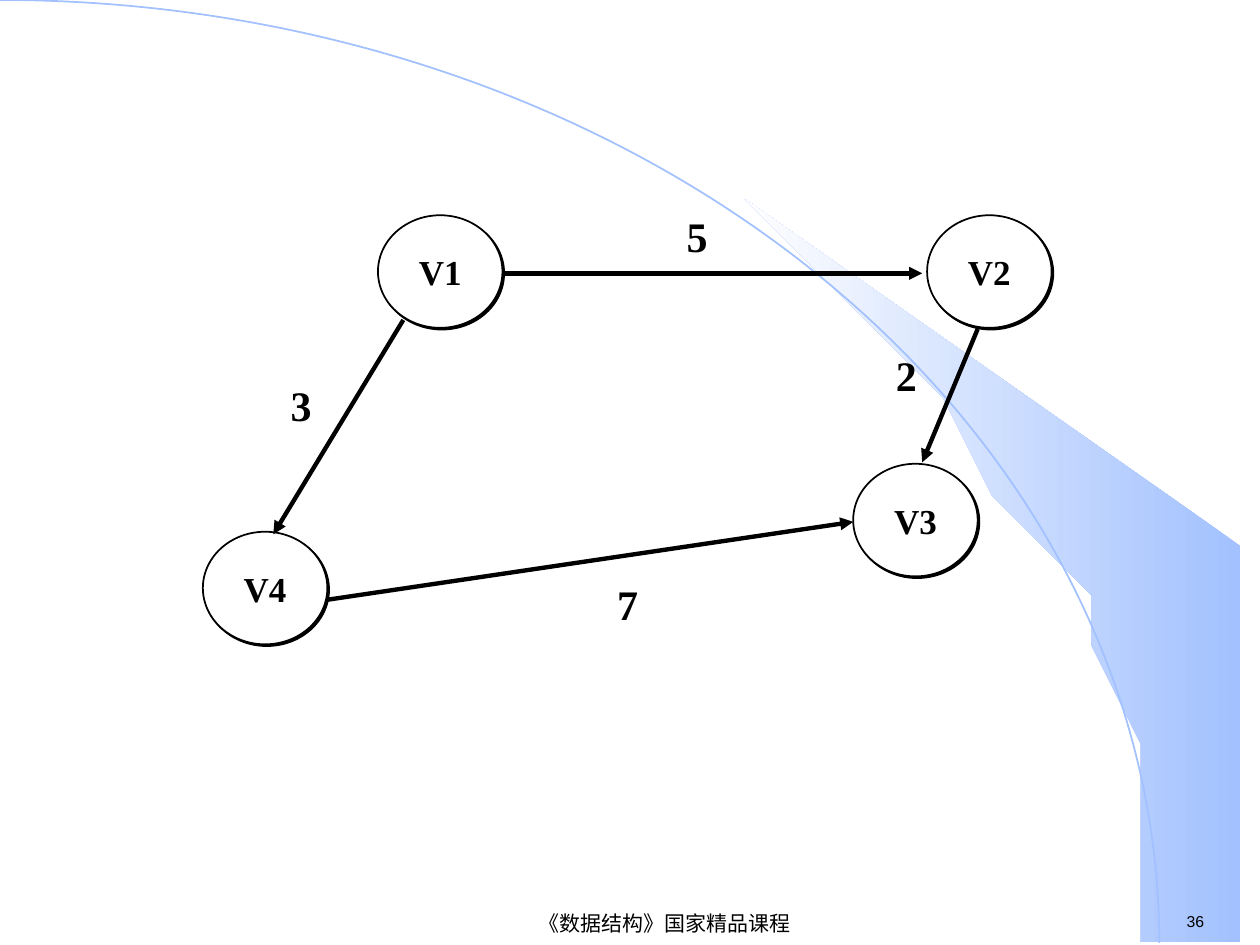
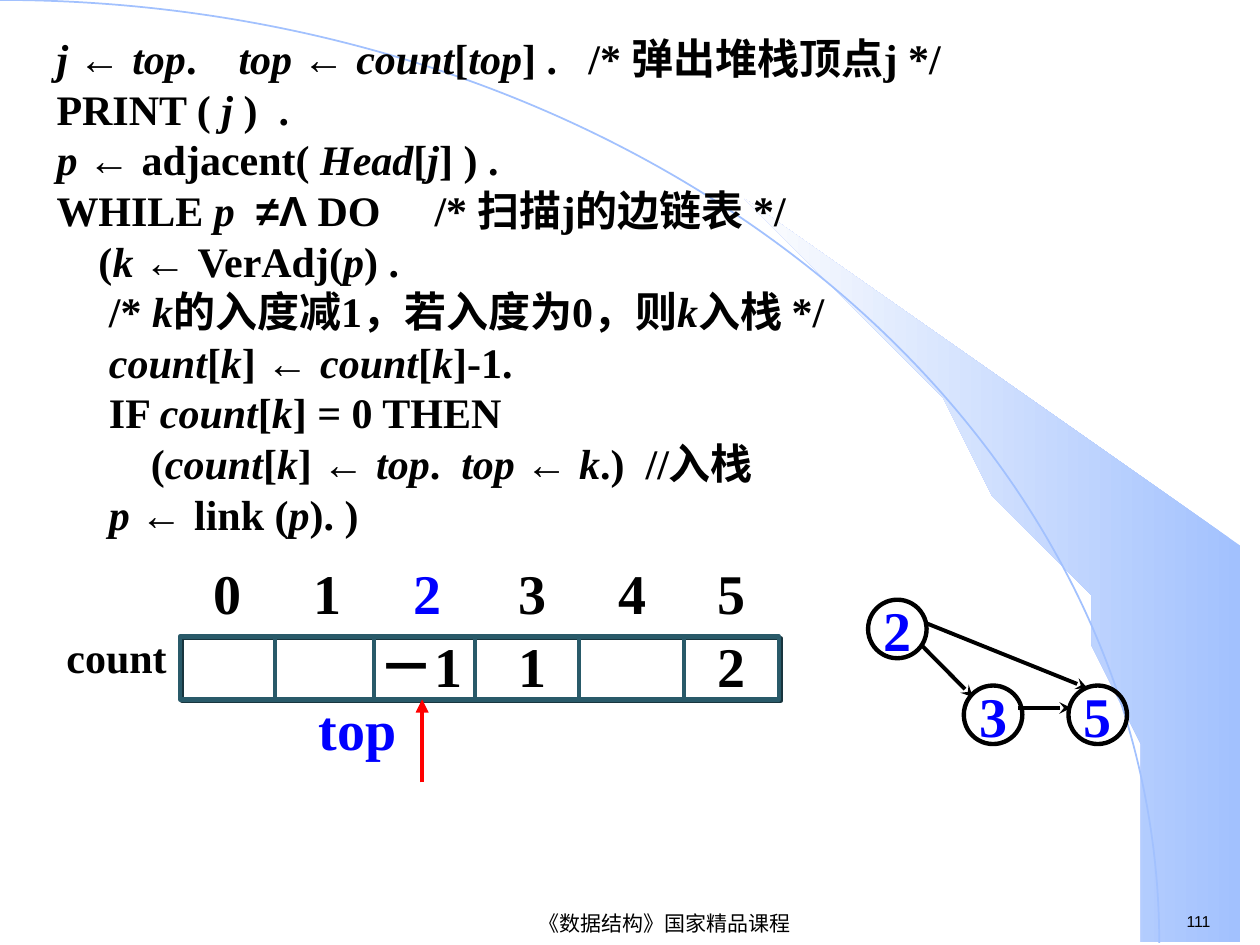
from lxml.etree import SubElement
from pptx import Presentation
from pptx.dml.color import RGBColor
from pptx.enum.shapes import MSO_CONNECTOR, MSO_SHAPE
from pptx.enum.text import MSO_ANCHOR, PP_ALIGN
from pptx.oxml.ns import qn
from pptx.util import Cm, Pt

HUES = {"ink": "000000", "paper": "FFFFFF", "sky": "A2C1FE", "mist": "FEFEFE",
        "teal": "295A69", "shade": "18353E", "blue": "0000FF", "red": "FF0000"}
SERIF, SANS = "Times New Roman", "Arial"

WING = [(23.37, 19), (25.37, 19.02), (25.37, 10.74), (14.96, 4.39), (15.85, 5.05),
        (16.59, 5.64), (17.4, 6.35), (18.19, 7.11), (19.35, 8.38), (20.4, 9.75),
        (21.13, 10.95), (21.79, 12.17), (22.3, 13.41), (22.68, 14.53),
        (22.94, 15.47), (23.19, 16.66), (23.29, 17.68)]

CODE = [
    "_j _~← ~_top_.    _top _~← ~_count_[_top_] .   /* 弹出堆栈顶点j */",
    "PRINT ( _j _)  .",
    "_p _~← ~adjacent( _Head_[_j_] ) .",
    "WHILE_ p  _~≠Λ~ DO\t/* 扫描j的边链表 */",
    "    (_k _~← ~VerAdj(_p_) .",
    "     /* _k_的入度减1，若入度为0，则_k_入栈 */",
    "_     count_[_k_] ~← ~_count_[_k_]-1.",
    "     IF _count_[_k_] = 0 THEN",
    "         (_count_[_k_] ~← ~_top_.  _top _~← ~_k_.)  //入栈",
    "_     p _~← ~link (_p_). )",
]


def tint(name):
    """Return a palette colour."""
    return RGBColor.from_string(HUES[name])


def style(font, size, hue="ink", face=SERIF, bold=True):
    """Format a font."""
    font.size, font.name, font.bold = Pt(size), face, bold
    font.color.rgb = tint(hue)


def label(slide, text, box, size, hue="ink", face=SERIF, align=PP_ALIGN.LEFT):
    """Add a one-line text box; serif labels are bold and loosely leaded."""
    shape = slide.shapes.add_textbox(*map(Cm, box))
    frame = shape.text_frame
    frame.word_wrap = True
    frame.text = text
    para = frame.paragraphs[0]
    para.alignment = align
    if face == SERIF:
        para.line_spacing = Pt(size * 1.2)
    style(para.runs[0].font, size, hue, face, face == SERIF)
    return shape


def outline(slide, kind, box, hue, width, fill=None, shade=None):
    """Add an outlined preset shape with an optional fill and hard shadow."""
    shape = slide.shapes.add_shape(kind, *map(Cm, box))
    shape.shadow.inherit = False
    shape.line.color.rgb = tint(hue)
    shape.line.width = Pt(width)
    if fill:
        shape.fill.solid()
        shape.fill.fore_color.rgb = tint(fill)
    else:
        shape.fill.background()
    if shade:
        effects = shape.element.spPr.find(qn("a:effectLst"))
        drop = SubElement(effects, qn("a:outerShdw"), dist="17780", dir="2700000",
                          algn="ctr", rotWithShape="0")
        SubElement(drop, qn("a:srgbClr"), val=HUES[shade])
    return shape


def node(slide, text, box, size, hue="ink", width=2.5, fill=None, shade=None):
    """Add a named graph vertex."""
    shape = outline(slide, MSO_SHAPE.OVAL, box, "ink", width, fill, shade)
    frame = shape.text_frame
    frame.word_wrap = False
    frame.vertical_anchor = MSO_ANCHOR.MIDDLE
    frame.margin_top = frame.margin_bottom = 0
    frame.text = text
    frame.paragraphs[0].alignment = PP_ALIGN.CENTER
    style(frame.paragraphs[0].runs[0].font, size, hue)


def link(slide, ends, hue="ink", width=2.5, head=None):
    """Add a straight line with an optional arrowhead."""
    line = slide.shapes.add_connector(MSO_CONNECTOR.STRAIGHT, *map(Cm, ends))
    line.line.color.rgb = tint(hue)
    line.line.width = Pt(width)
    if head:
        SubElement(line.get_or_add_ln(), qn("a:tailEnd"), type=head)
    SubElement(line.element.spPr, qn("a:effectLst"))


def dress(layout, slide):
    """Build the shared backdrop and footer, then place them on the layout."""
    for holder in list(layout.placeholders):
        layout.shapes.element.remove(holder.element)
    pen = slide.shapes.build_freeform(*WING[0], scale=Cm(1))
    pen.add_line_segments(WING[1:])
    wing = pen.convert_to_shape()
    wing.shadow.inherit = False
    wing.line.fill.background()
    wing.fill.gradient()
    wing.fill.gradient_angle = 180
    for stop, hue in zip(wing.fill.gradient_stops, ("sky", "mist")):
        stop.color.rgb = tint(hue)
    curve = outline(slide, MSO_SHAPE.ARC, (-23.37, 0, 46.74, 38.02), "sky", 1)
    foot = label(slide, "《数据结构》国家精品课程", (6.1, 18.31, 14.6, 0.61), 12,
                 face=SANS, align=PP_ALIGN.CENTER)
    foot.text_frame.vertical_anchor = MSO_ANCHOR.MIDDLE
    for part in (wing, curve, foot):
        layout.shapes.element.append(part.element)


def number(slide, text):
    """Add the page number."""
    label(slide, text, (23.67, 18.26, 1.96, 0.64), 9, face=SANS)


def graph(slide):
    """Draw the weighted graph."""
    for name, left, top in (("V1", 7.62, 4.34), ("V2", 18.69, 4.34),
                            ("V3", 17.2, 9.35), ("V4", 4.09, 10.72)):
        node(slide, name, (left, top, 2.51, 2.27), 20, width=1,
             fill="paper", shade="ink")
    for ends in ((8.13, 6.45, 5.51, 10.77), (10.19, 5.51, 18.59, 5.51),
                 (19.71, 6.63, 18.59, 9.32), (6.6, 12.09, 17.2, 10.52)):
        link(slide, ends, head="triangle")
    for cost, left, top in (("2", 17.81, 6.93), ("3", 5.61, 7.52),
                            ("5", 13.59, 4.11), ("7", 12.19, 11.53)):
        label(slide, cost, (left, top, 0.91, 1.27), 24)


def code(slide):
    """Write the listing: _ toggles italics and ~ toggles the symbol face."""
    frame = slide.shapes.add_textbox(Cm(0.89), Cm(0.53), Cm(18.8), Cm(10.41)).text_frame
    frame.word_wrap = True
    for row, line in enumerate(CODE):
        para = frame.add_paragraph() if row else frame.paragraphs[0]
        para.line_spacing = Pt(28.9)
        for slant, part in enumerate(line.split("_")):
            for sign, bit in enumerate(part.split("~")):
                if bit:
                    run = para.add_run()
                    run.text = bit
                    style(run.font, 24, face=SANS if sign % 2 else SERIF)
                    run.font.italic = slant % 2 == 1


def stack(slide):
    """Draw the count array with its indices and top pointer."""
    outline(slide, MSO_SHAPE.RECTANGLE, (3.63, 12.83, 12.07, 1.27), "teal", 2.5,
            shade="shade")
    for left in (5.54, 7.54, 9.58, 11.68, 13.79):
        link(slide, (left, 12.83, left, 14.1), "teal", 2.25)
    for index, left in enumerate((3.63, 5.64, 7.67, 9.78, 11.79, 13.79)):
        label(slide, str(index), (left, 11.13, 1.91, 1.63), 32,
              "blue" if index == 2 else "ink", align=PP_ALIGN.CENTER)
    for value, left, width in (("－1", 7.11, 2.74), ("1", 9.78, 1.91),
                               ("2", 13.79, 1.91)):
        label(slide, value, (left, 12.6, width, 1.63), 32, align=PP_ALIGN.CENTER)
    label(slide, "count", (1.09, 12.6, 3.18, 1.27), 24)
    label(slide, "top", (6.17, 13.87, 2.54, 1.63), 32, "blue")
    link(slide, (8.51, 15.77, 8.51, 14.1), "red", head="triangle")


def rest(slide):
    """Draw the remaining vertices and edges."""
    for name, left, top in (("2", 17.5, 12.09), ("3", 19.43, 13.82), ("5", 21.54, 13.82)):
        node(slide, name, (left, top, 1.18, 1.18), 32, "blue")
    for ends in ((18.57, 13, 19.61, 14.05), (20.52, 14.27, 21.59, 14.27),
                 (18.64, 12.55, 21.92, 13.87)):
        link(slide, ends, width=2.25, head="stealth")


def main():
    """Build and save both slides."""
    deck = Presentation()
    deck.slide_width, deck.slide_height = Cm(25.4), Cm(19.05)
    layout = deck.slide_layouts[6]
    first, second = (deck.slides.add_slide(layout) for _ in range(2))
    dress(layout, first)
    number(first, "36")
    graph(first)
    number(second, "111")
    stack(second)
    rest(second)
    code(second)
    deck.save("out.pptx")


if __name__ == "__main__":
    main()
